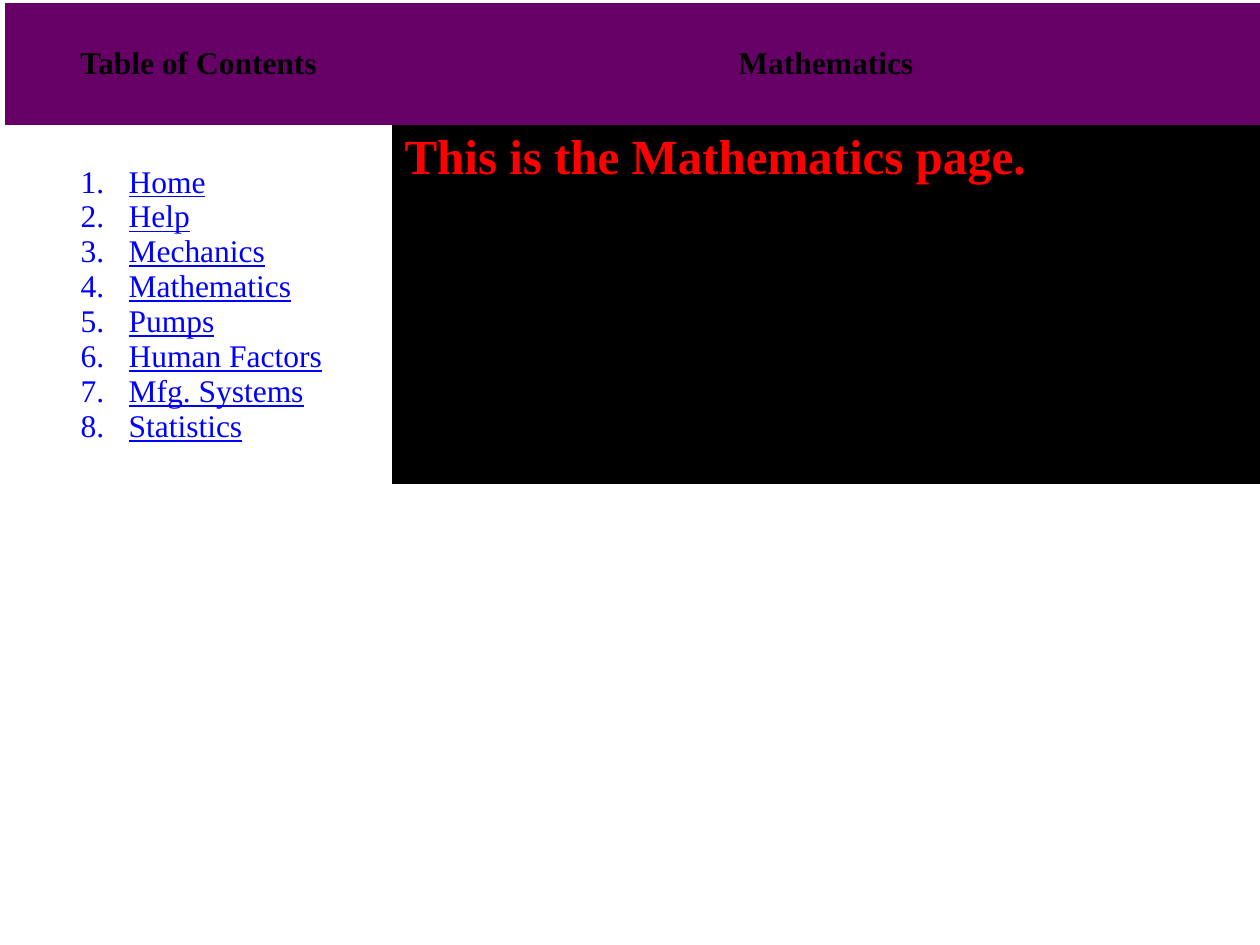
from lxml.etree import SubElement
from pptx import Presentation
from pptx.dml.color import RGBColor
from pptx.enum.text import MSO_ANCHOR, PP_ALIGN
from pptx.oxml.ns import qn
from pptx.util import Emu, Pt

HUES = {"band": "660066", "head": "000000", "link": "0000FF",
        "page": "000000", "note": "FF0000"}
FONT = "Times New Roman"
PLAIN = "{2D5ABB26-0587-4C30-8999-92F81FD0307C}"  # no style, no grid
TOPICS = ["Home", "Help", "Mechanics", "Mathematics", "Pumps",
          "Human Factors", "Mfg. Systems", "Statistics"]


def px(count):
    return Emu(round(count * 914400 / 126))


class Deck:
    def __init__(self, wide, high):
        self.prs = Presentation()
        self.prs.slide_width, self.prs.slide_height = px(wide), px(high)
        self.slide = self.prs.slides.add_slide(self.prs.slide_layouts[6])

    def table(self, left, top, cols, rows):
        frame = self.slide.shapes.add_table(
            len(rows), len(cols), px(left), px(top), px(sum(cols)), px(sum(rows)))
        grid = frame.table
        grid.first_row = grid.horz_banding = False
        frame.element.find(".//" + qn("a:tableStyleId")).text = PLAIN
        for col, width in zip(grid.columns, cols):
            col.width = px(width)
        for row, height in zip(grid.rows, rows):
            row.height = px(height)
        return grid

    def cell(self, cell, fill=None, anchor=MSO_ANCHOR.MIDDLE):
        cell.vertical_anchor = anchor
        if fill:
            cell.fill.solid()
            cell.fill.fore_color.rgb = RGBColor.from_string(HUES[fill])
        else:
            cell.fill.background()

    def run(self, para, text, hue, size=18, bold=False, line=False):
        run = para.add_run()
        run.text = text
        font = run.font
        font.name, font.size, font.bold, font.underline = FONT, Pt(size), bold, line
        font.color.rgb = RGBColor.from_string(HUES[hue])

    def links(self, frame, names):
        """Fill the frame with a numbered list of underlined names."""
        for i, name in enumerate(names):
            para = frame.add_paragraph() if i else frame.paragraphs[0]
            para.level = 1
            props = para._p.get_or_add_pPr()
            props.set("marL", str(px(111)))
            props.set("indent", str(-px(48)))
            SubElement(props, qn("a:buFont"), typeface=FONT)
            SubElement(props, qn("a:buAutoNum"), type="arabicPeriod")
            self.run(para, name, "link", line=True)


def main():
    deck = Deck(1260, 945)
    grid = deck.table(5, 3, cols=[387, 868], rows=[122, 359])

    for i, title in enumerate(["Table of Contents", "Mathematics"]):
        head = grid.cell(0, i)
        deck.cell(head, "band")
        para = head.text_frame.paragraphs[0]
        para.alignment = PP_ALIGN.CENTER
        deck.run(para, title, "head", bold=True)

    menu, page = grid.cell(1, 0), grid.cell(1, 1)
    deck.cell(menu)
    deck.links(menu.text_frame, TOPICS)
    deck.cell(page, "page", MSO_ANCHOR.TOP)
    deck.run(page.text_frame.paragraphs[0], "This is the Mathematics page.",
             "note", size=28, bold=True)

    deck.prs.save("out.pptx")


if __name__ == "__main__":
    main()
